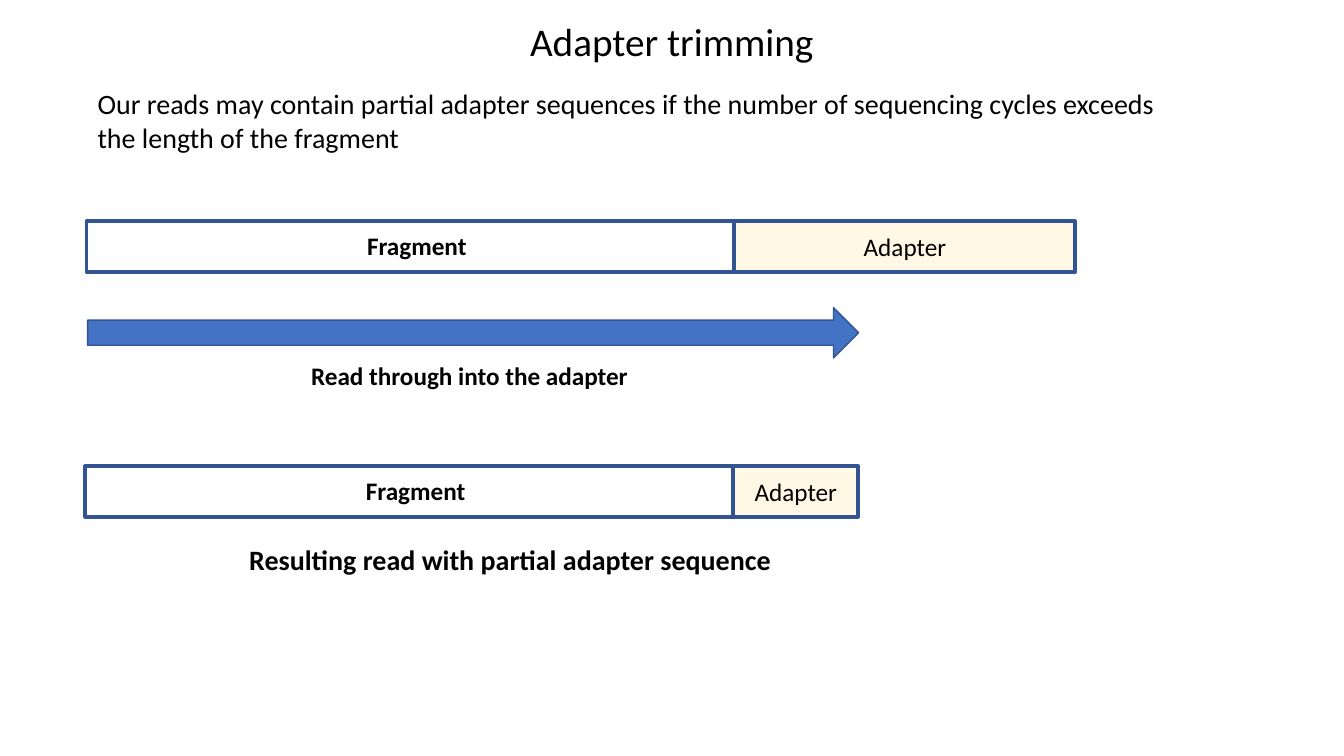
from lxml import etree
from pptx import Presentation
from pptx.dml.color import RGBColor
from pptx.enum import shapes, text
from pptx.oxml import ns
from pptx.util import Cm, Pt

BLACK = RGBColor(0x00, 0x00, 0x00)
OUTLINE = RGBColor(0x32, 0x54, 0x91)
ARROW = RGBColor(0x44, 0x72, 0xC4)
ADAPTER = RGBColor(0xFF, 0xC0, 0x00)

FRAGMENT_WIDTH = 16.33
BAR_HEIGHT = 1.27


def write(tf, words, size=18, bold=False, align=text.PP_ALIGN.LEFT):
    p = tf.paragraphs[0]
    p.alignment = align
    r = p.add_run()
    r.text = words
    r.font.name = "Calibri"
    r.font.size = Pt(size)
    r.font.bold = bold
    r.font.color.rgb = BLACK


def add_text(slide, left, top, width, height, words, wrap=False, **style):
    sp = slide.shapes.add_textbox(Cm(left), Cm(top), Cm(width), Cm(height))
    tf = sp.text_frame
    tf.word_wrap = wrap
    tf.auto_size = text.MSO_AUTO_SIZE.SHAPE_TO_FIT_TEXT
    write(tf, words, **style)


def add_outlined(slide, kind, left, top, width, fill=None, alpha=100, line=2.75):
    """Add an outlined shape of bar height; alpha is the fill opacity in percent."""
    sp = slide.shapes.add_shape(kind, Cm(left), Cm(top), Cm(width), Cm(BAR_HEIGHT))
    sp.shadow.inherit = False
    sp.line.color.rgb = OUTLINE
    sp.line.width = Pt(line)
    if fill is None:
        sp.fill.background()
    else:
        sp.fill.solid()
        sp.fill.fore_color.rgb = fill
        if alpha < 100:
            color = sp.fill._xPr.find(".//" + ns.qn("a:srgbClr"))
            etree.SubElement(color, ns.qn("a:alpha")).set("val", str(alpha * 1000))
    return sp


def add_heading(slide, left, top):
    add_text(slide, left + 10.9, top, 7.65, 1.45, "Adapter trimming", size=28)
    add_text(slide, left, top + 1.76, 27.76, 1.96,
             "Our reads may contain partial adapter sequences if the number of "
             "sequencing cycles exceeds the length of the fragment",
             wrap=True, size=20)


def add_sequence(slide, left, top, adapter_width):
    """Draw a fragment bar followed by its adapter."""
    rect = shapes.MSO_SHAPE.RECTANGLE
    add_outlined(slide, rect, left, top, FRAGMENT_WIDTH)
    adapter = add_outlined(slide, rect, left + FRAGMENT_WIDTH, top, adapter_width,
                           fill=ADAPTER, alpha=10)
    tf = adapter.text_frame
    tf.vertical_anchor = text.MSO_ANCHOR.MIDDLE
    write(tf, "Adapter", align=text.PP_ALIGN.CENTER)
    add_text(slide, left + 6.82, top + 0.1, 3.05, 1.02, "Fragment", bold=True)


def add_read_arrow(slide, left, top, width):
    add_outlined(slide, shapes.MSO_SHAPE.RIGHT_ARROW, left, top, width,
                 fill=ARROW, line=1)
    add_text(slide, left + 5.38, top + 1.2, 8.56, 1.02,
             "Read through into the adapter", bold=True)


def add_result(slide, left, top, adapter_width):
    add_sequence(slide, left, top, adapter_width)
    add_text(slide, left + 3.88, top + 1.8, 13.79, 1.12,
             "Resulting read with partial adapter sequence", size=20, bold=True)


def main():
    prs = Presentation()
    prs.slide_width, prs.slide_height = Cm(33.87), Cm(19.05)
    slide = prs.slides.add_slide(prs.slide_layouts[6])
    add_heading(slide, 2.21, 0.3)
    add_sequence(slide, 2.18, 5.58, 8.59)
    add_read_arrow(slide, 2.21, 7.75, 19.43)
    add_result(slide, 2.15, 11.75, 3.15)
    prs.save("out.pptx")


if __name__ == "__main__":
    main()
